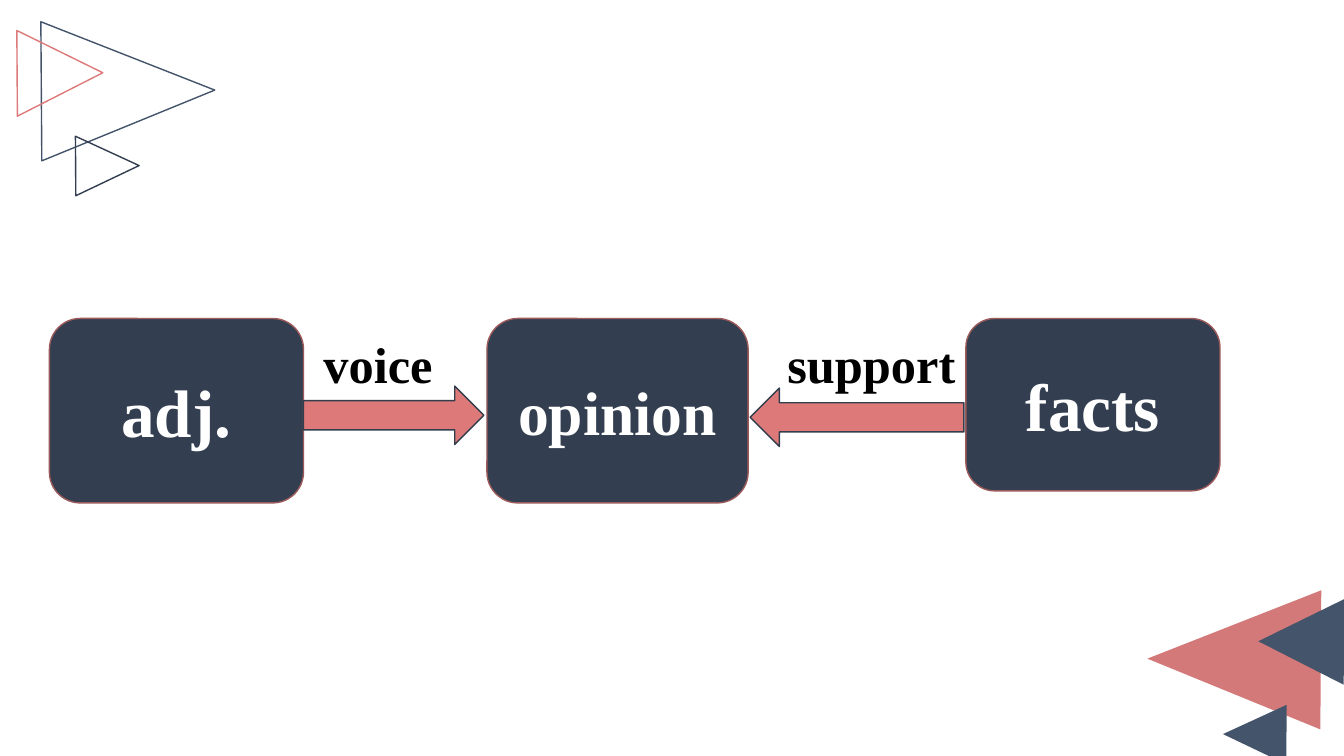
import dataclasses

import pptx
import pptx.dml.color
import pptx.enum.shapes
import pptx.enum.text
import pptx.util

Inches = pptx.util.Inches
Shape = pptx.enum.shapes.MSO_SHAPE
Align = pptx.enum.text.PP_ALIGN
Anchor = pptx.enum.text.MSO_ANCHOR


@dataclasses.dataclass(frozen=True)
class Theme:
    font: str = "Times New Roman"
    navy: str = "333F50"
    slate: str = "44546A"
    coral: str = "DD7979"
    rose: str = "D37979"
    box_edge: str = "9C5A5A"
    arrow_edge: str = "323E4E"
    white: str = "FFFFFF"
    black: str = "000000"
    large: int = 48
    medium: int = 44
    label: int = 36
    line_width: int = 1


def rgb(value):
    return pptx.dml.color.RGBColor.from_string(value)


def apply_formats(target, formats):
    for name, value in formats.items():
        setattr(target, name, value)


class SlideBuilder:
    def __init__(self, slide, theme):
        self.slide = slide
        self.theme = theme

    def shape(self, kind, at, fill=None, line=None, rotation=0):
        shape = self.slide.shapes.add_shape(kind, *map(Inches, at))
        shape.shadow.inherit = False
        shape.rotation = rotation
        if fill:
            shape.fill.solid()
            shape.fill.fore_color.rgb = rgb(fill)
        else:
            shape.fill.background()
        if line:
            shape.line.color.rgb = rgb(line)
            shape.line.width = pptx.util.Pt(self.theme.line_width)
        else:
            shape.line.fill.background()
        return shape

    def set_text(self, frame, text, size, color, align, anchor):
        apply_formats(frame, {"word_wrap": True, "vertical_anchor": anchor})
        paragraph = frame.paragraphs[0]
        paragraph.alignment = align
        run = paragraph.add_run()
        run.text = text
        apply_formats(run.font, {
            "name": self.theme.font, "size": pptx.util.Pt(size), "bold": True})
        run.font.color.rgb = rgb(color)

    def triangle(self, at, rotation, fill=None, line=None):
        self.shape(Shape.ISOSCELES_TRIANGLE, at, fill, line, rotation)

    def box(self, text, at, size):
        box = self.shape(Shape.ROUNDED_RECTANGLE, at, self.theme.navy, self.theme.box_edge)
        self.set_text(box.text_frame, text, size, self.theme.white, Align.CENTER, Anchor.MIDDLE)

    def arrow(self, at, rotation=0):
        self.shape(Shape.RIGHT_ARROW, at, self.theme.coral, self.theme.arrow_edge, rotation)

    def label(self, text, at):
        label = self.slide.shapes.add_textbox(*map(Inches, at))
        label.text_frame.auto_size = pptx.enum.text.MSO_AUTO_SIZE.SHAPE_TO_FIT_TEXT
        self.set_text(label.text_frame, text, self.theme.label, self.theme.black,
                      Align.LEFT, Anchor.TOP)


def main():
    theme = Theme()
    deck = pptx.Presentation()
    apply_formats(deck, {"slide_width": Inches(13.33), "slide_height": Inches(7.5)})
    builder = SlideBuilder(deck.slides.add_slide(deck.slide_layouts[6]), theme)

    # Corner triangles: solid at bottom right, outlined at top left
    for at, fill in (
        ((11.55, 5.68, 1.38, 1.72), theme.rose),
        ((12.15, 6.97, 0.59, 0.63), theme.slate),
        ((12.48, 5.94, 0.85, 0.85), theme.slate),
    ):
        builder.triangle(at, 270.4, fill=fill)
    for at, line in (
        ((0.58, 0.04, 1.38, 1.72), theme.slate),
        ((0.77, 1.33, 0.59, 0.63), theme.navy),
        ((0.17, 0.3, 0.85, 0.85), theme.coral),
    ):
        builder.triangle(at, 89.6, line=line)

    # Three concepts in a row
    box_top = 3.16
    for text, left, width, height, size in (
        ("adj.", 0.49, 2.52, 1.83, theme.large),
        ("opinion", 4.83, 2.59, 1.83, theme.medium),
        ("facts", 9.58, 2.52, 1.71, theme.large),
    ):
        builder.box(text, (left, box_top, width, height), size)

    # Arrows pointing at the opinion, with their labels
    builder.arrow((3.01, 3.83, 1.79, 0.58))
    builder.arrow((7.44, 3.85, 2.12, 0.58), rotation=180)
    for text, left, width in (("voice", 3.11, 1.43), ("support", 7.71, 1.98)):
        builder.label(text, (left, 3.26, width, 0.71))

    deck.save("out.pptx")


if __name__ == "__main__":
    main()
